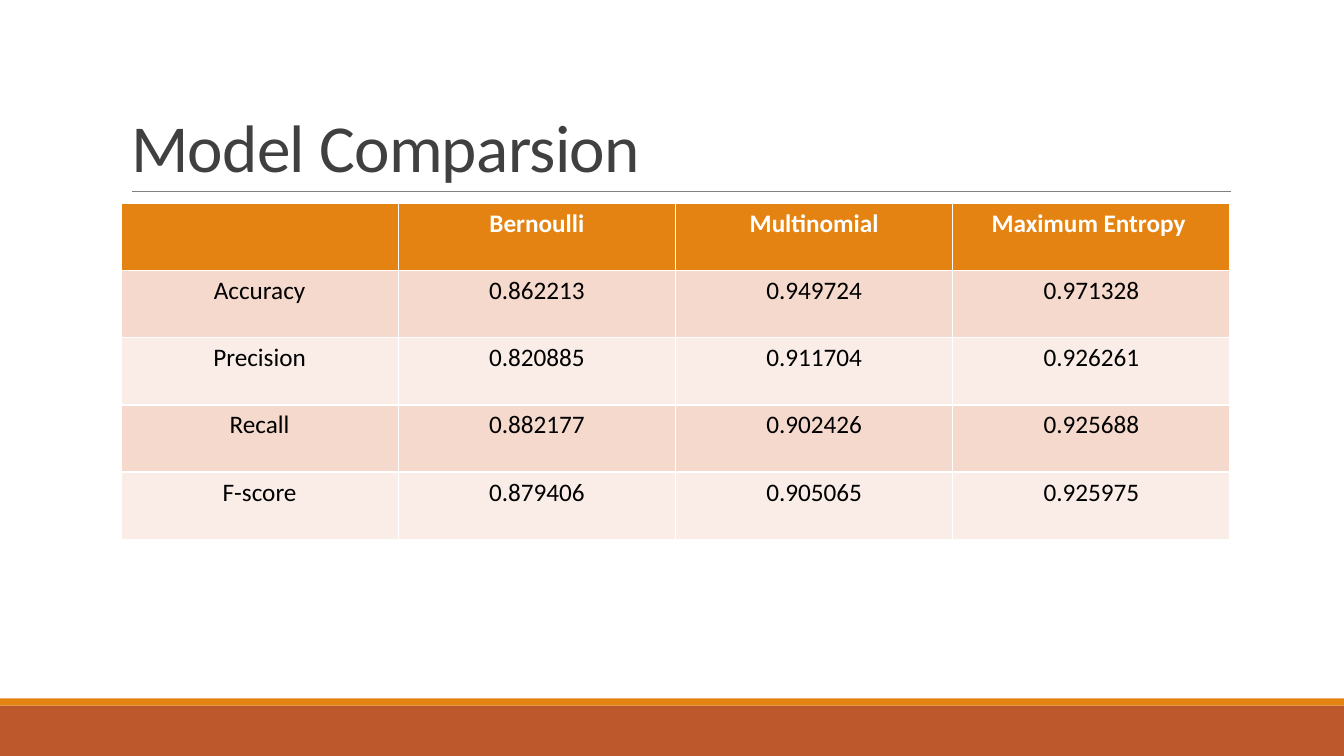
from dataclasses import dataclass

from lxml import etree
from pptx import Presentation
from pptx.dml.color import RGBColor
from pptx.enum.shapes import MSO_CONNECTOR, MSO_SHAPE
from pptx.enum.text import MSO_ANCHOR, MSO_AUTO_SIZE, PP_ALIGN
from pptx.oxml.ns import qn
from pptx.util import Inches, Pt

RECTANGLE = MSO_SHAPE.RECTANGLE
STRAIGHT = MSO_CONNECTOR.STRAIGHT
BOTTOM = MSO_ANCHOR.BOTTOM
LEFT, CENTER = PP_ALIGN.LEFT, PP_ALIGN.CENTER
NO_AUTOFIT = MSO_AUTO_SIZE.NONE
TITLE_ONLY = 5

SCORES = [
    ("", "Bernoulli", "Multinomial", "Maximum Entropy "),
    ("Accuracy", "0.862213", "0.949724", "0.971328"),
    ("Precision", "0.820885", "0.911704", "0.926261"),
    ("Recall", "0.882177", "0.902426", "0.925688"),
    ("F-score", "0.879406", "0.905065", "0.925975"),
]


@dataclass(frozen=True)
class Theme:
    font: str = "Calibri"
    title_size: float = 48
    table_size: float = 18
    title: str = "404040"
    rule: str = "808080"
    footer: str = "BD582C"
    accent: str = "E48312"
    header_text: str = "FFFFFF"
    body_text: str = "000000"
    bands: tuple = ("F5D9CC", "FAEDE7")


class SlideBuilder:
    def __init__(self, page, theme):
        self.page = page
        self.theme = theme

    def add_span(self, para, text, size, color, bold=False):
        span = para.add_run()
        span.text = text
        span.font.name = self.theme.font
        span.font.size = Pt(size)
        span.font.bold = bold
        span.font.color.rgb = RGBColor.from_string(color)
        return span

    def band(self, top, height, color):
        box = self.page.shapes.add_shape(
            RECTANGLE, 0, Inches(top), Inches(13.33), Inches(height))
        box.shadow.inherit = False
        box.fill.solid()
        box.fill.fore_color.rgb = RGBColor.from_string(color)
        box.line.fill.background()

    def rule(self, left, right, top):
        line = self.page.shapes.add_connector(
            STRAIGHT, Inches(left), Inches(top), Inches(right), Inches(top))
        line.line.color.rgb = RGBColor.from_string(self.theme.rule)
        line.line.width = Pt(0.5)
        etree.SubElement(line._element.spPr, qn("a:effectLst"))

    def title(self, text, left, top, width, height):
        box = self.page.shapes.title
        box.left, box.top = Inches(left), Inches(top)
        box.width, box.height = Inches(width), Inches(height)
        frame = box.text_frame
        frame.auto_size = NO_AUTOFIT
        frame.word_wrap = True
        frame.vertical_anchor = BOTTOM
        para = frame.paragraphs[0]
        para.alignment = LEFT
        para.line_spacing = 0.85
        span = self.add_span(para, text, self.theme.title_size, self.theme.title)
        span._r.get_or_add_rPr().set("spc", "-50")

    def table(self, rows, left, top, width, height):
        # The default table style supplies the white cell borders
        grid = self.page.shapes.add_table(
            len(rows), len(rows[0]), Inches(left), Inches(top),
            Inches(width), Inches(height)).table
        for row, values in enumerate(rows):
            header = row == 0
            fill = self.theme.accent if header else self.theme.bands[(row - 1) % 2]
            color = self.theme.header_text if header else self.theme.body_text
            for column, value in enumerate(values):
                cell = grid.cell(row, column)
                cell.fill.solid()
                cell.fill.fore_color.rgb = RGBColor.from_string(fill)
                para = cell.text_frame.paragraphs[0]
                para.alignment = CENTER
                if value:
                    self.add_span(para, value, self.theme.table_size, color, header)


def main():
    deck = Presentation()
    deck.slide_width, deck.slide_height = Inches(13.33), Inches(7.5)
    page = deck.slides.add_slide(deck.slide_layouts[TITLE_ONLY])
    theme = Theme()
    builder = SlideBuilder(page, theme)

    # Footer bands and title rule
    builder.band(7, 0.5, theme.footer)
    builder.band(6.93, 0.07, theme.accent)
    builder.rule(1.31, 12.21, 1.9)

    # Title and score table
    builder.title("Model Comparsion", 1.2, 0.31, 11, 1.59)
    builder.table(SCORES, 1.2, 2.02, 11, 3.33)

    deck.save("out.pptx")


if __name__ == "__main__":
    main()
